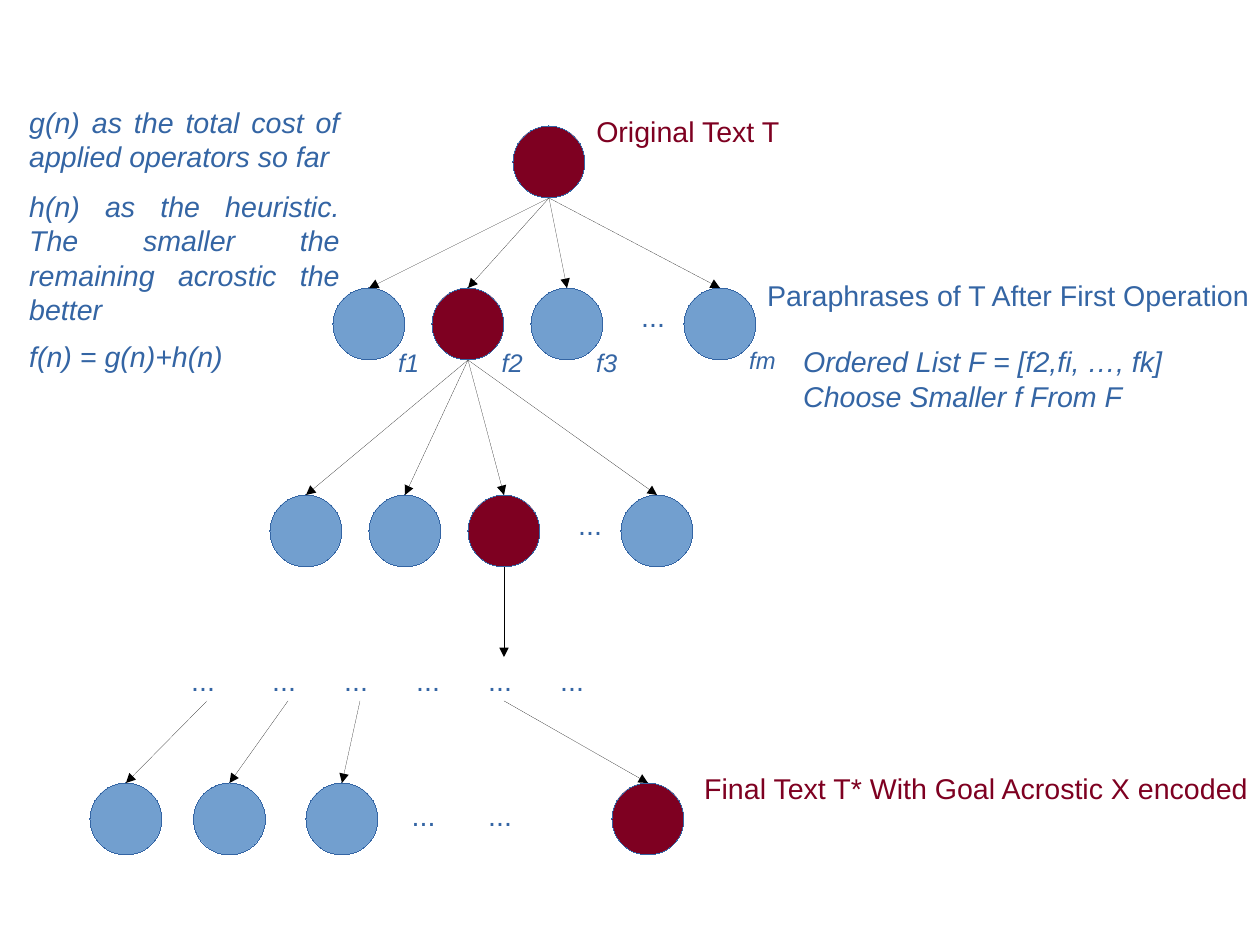
from dataclasses import dataclass

import pptx
import pptx.dml.color
import pptx.dml.line
import pptx.enum.shapes
import pptx.enum.text
import pptx.oxml
import pptx.oxml.ns
import pptx.slide
import pptx.util

EMU_PER_PX = 9000
SLIDE_WIDTH, SLIDE_HEIGHT = 1120, 840
NODE_SIZE = 64
DOTS_WIDTH, DOTS_HEIGHT = 48, 39
FONT = "Arial"

BLUE = pptx.dml.color.RGBColor(0x34, 0x65, 0xA4)
LIGHT_BLUE = pptx.dml.color.RGBColor(0x72, 0x9F, 0xCF)
CRIMSON = pptx.dml.color.RGBColor(0x7E, 0x00, 0x21)
BLACK = pptx.dml.color.RGBColor(0x00, 0x00, 0x00)


@dataclass(frozen=True)
class Level:
    top: int
    node_lefts: tuple[int, ...]
    chosen: int
    dots_top: int = 0
    dots_lefts: tuple[int, ...] = ()

    def entries(self) -> list[tuple[int, int]]:
        return [(left + NODE_SIZE // 2, self.top) for left in self.node_lefts]

    def chosen_exit(self) -> tuple[int, int]:
        return self.node_lefts[self.chosen] + NODE_SIZE // 2, self.top + NODE_SIZE


@dataclass(frozen=True)
class Label:
    text: str
    left: int
    top: int
    width: int
    height: int
    color: pptx.dml.color.RGBColor = BLUE
    size: int = 18
    italic: bool = False
    wrap: bool = True
    justified: bool = False


ROOT = Level(112, (456,), 0)
PARAPHRASES = Level(256, (296, 384, 472, 608), 1, 261, (560,))
SECOND_OPERATION = Level(440, (240, 328, 416, 552), 2, 446, (504,))
FINAL_TEXTS = Level(696, (80, 172, 272, 544), 3, 704, (356, 424))
LEVELS = (ROOT, PARAPHRASES, SECOND_OPERATION, FINAL_TEXTS)

SKIPPED_TOP = 584
SKIPPED_LEFTS = (160, 232, 296, 360, 424, 488)
EXPANDED_SKIPPED = (0, 1, 2, 4)

LABELS = (
    Label("Original Text T", 520, 96, 183, 40, CRIMSON, wrap=False),
    Label("Paraphrases of T After First Operation", 672, 242, 448, 39, wrap=False),
    Label("Final Text T* With Goal Acrostic X encoded", 616, 680, 505, 40, CRIMSON, wrap=False),
    Label("f1", 344, 304, 48, 36, size=16, italic=True),
    Label("f2", 436, 304, 48, 36, size=16, italic=True),
    Label("f3", 520, 304, 48, 36, size=16, italic=True),
    Label("fm", 656, 302, 48, 34, size=15, italic=True),
    Label("Ordered List F = [f2,fi, …, fk]\nChoose Smaller f From F",
          704, 301, 372, 67, italic=True),
    Label("g(n) as the total cost of applied operators so far",
          16, 88, 296, 67, italic=True, justified=True),
    Label("h(n) as the heuristic. The smaller the remaining acrostic the better",
          16, 163, 296, 124, italic=True, justified=True),
    Label("f(n) = g(n)+h(n)", 16, 296, 200, 39, italic=True),
)


def px(length: int) -> pptx.util.Emu:
    return pptx.util.Emu(length * EMU_PER_PX)


def set_hairline(line: pptx.dml.line.LineFormat, color: pptx.dml.color.RGBColor) -> None:
    line.color.rgb = color
    line._get_or_add_ln().set("w", "0")


def draw_node(slide: pptx.slide.Slide, left: int, top: int, chosen: bool) -> None:
    node = slide.shapes.add_shape(
        pptx.enum.shapes.MSO_SHAPE.FLOWCHART_CONNECTOR,
        px(left), px(top), px(NODE_SIZE), px(NODE_SIZE))
    node.shadow.inherit = False
    node.fill.solid()
    node.fill.fore_color.rgb = CRIMSON if chosen else LIGHT_BLUE
    set_hairline(node.line, BLUE)


def draw_arrow(slide: pptx.slide.Slide, start: tuple[int, int], end: tuple[int, int]) -> None:
    arrow = slide.shapes.add_connector(
        pptx.enum.shapes.MSO_CONNECTOR.STRAIGHT, *map(px, start + end))
    set_hairline(arrow.line, BLACK)
    namespace = pptx.oxml.ns.nsdecls("a")
    arrow.line._get_or_add_ln().append(
        pptx.oxml.parse_xml(f'<a:tailEnd {namespace} type="triangle"/>'))
    arrow._element.spPr.append(pptx.oxml.parse_xml(f"<a:effectLst {namespace}/>"))


def draw_label(slide: pptx.slide.Slide, label: Label) -> None:
    box = slide.shapes.add_textbox(
        px(label.left), px(label.top), px(label.width), px(label.height))
    frame = box.text_frame
    frame.word_wrap = label.wrap
    fitting = pptx.enum.text.MSO_AUTO_SIZE
    frame.auto_size = fitting.SHAPE_TO_FIT_TEXT if label.wrap else fitting.NONE
    frame.text = label.text
    for paragraph in frame.paragraphs:
        if label.justified:
            paragraph.alignment = pptx.enum.text.PP_ALIGN.JUSTIFY
        for run in paragraph.runs:
            run.font.name = FONT
            run.font.size = pptx.util.Pt(label.size)
            run.font.italic = label.italic
            run.font.color.rgb = label.color


def draw_dots(slide: pptx.slide.Slide, lefts: tuple[int, ...], top: int) -> None:
    for left in lefts:
        draw_label(slide, Label("...", left, top, DOTS_WIDTH, DOTS_HEIGHT))


def draw_level(slide: pptx.slide.Slide, level: Level) -> None:
    for index, left in enumerate(level.node_lefts):
        draw_node(slide, left, level.top, index == level.chosen)
    draw_dots(slide, level.dots_lefts, level.dots_top)


def main() -> None:
    presentation = pptx.Presentation()
    presentation.slide_width = px(SLIDE_WIDTH)
    presentation.slide_height = px(SLIDE_HEIGHT)
    slide = presentation.slides.add_slide(presentation.slide_layouts[6])

    for level in LEVELS:
        draw_level(slide, level)
    draw_dots(slide, SKIPPED_LEFTS, SKIPPED_TOP)

    for parent, children in ((ROOT, PARAPHRASES), (PARAPHRASES, SECOND_OPERATION)):
        for entry in children.entries():
            draw_arrow(slide, parent.chosen_exit(), entry)

    last_chosen = SECOND_OPERATION.chosen_exit()
    draw_arrow(slide, last_chosen, (last_chosen[0], SKIPPED_TOP))
    for index, entry in zip(EXPANDED_SKIPPED, FINAL_TEXTS.entries()):
        dots_center = SKIPPED_LEFTS[index] + DOTS_WIDTH // 2
        draw_arrow(slide, (dots_center, SKIPPED_TOP + DOTS_HEIGHT), entry)

    for label in LABELS:
        draw_label(slide, label)

    presentation.save("out.pptx")


if __name__ == "__main__":
    main()
